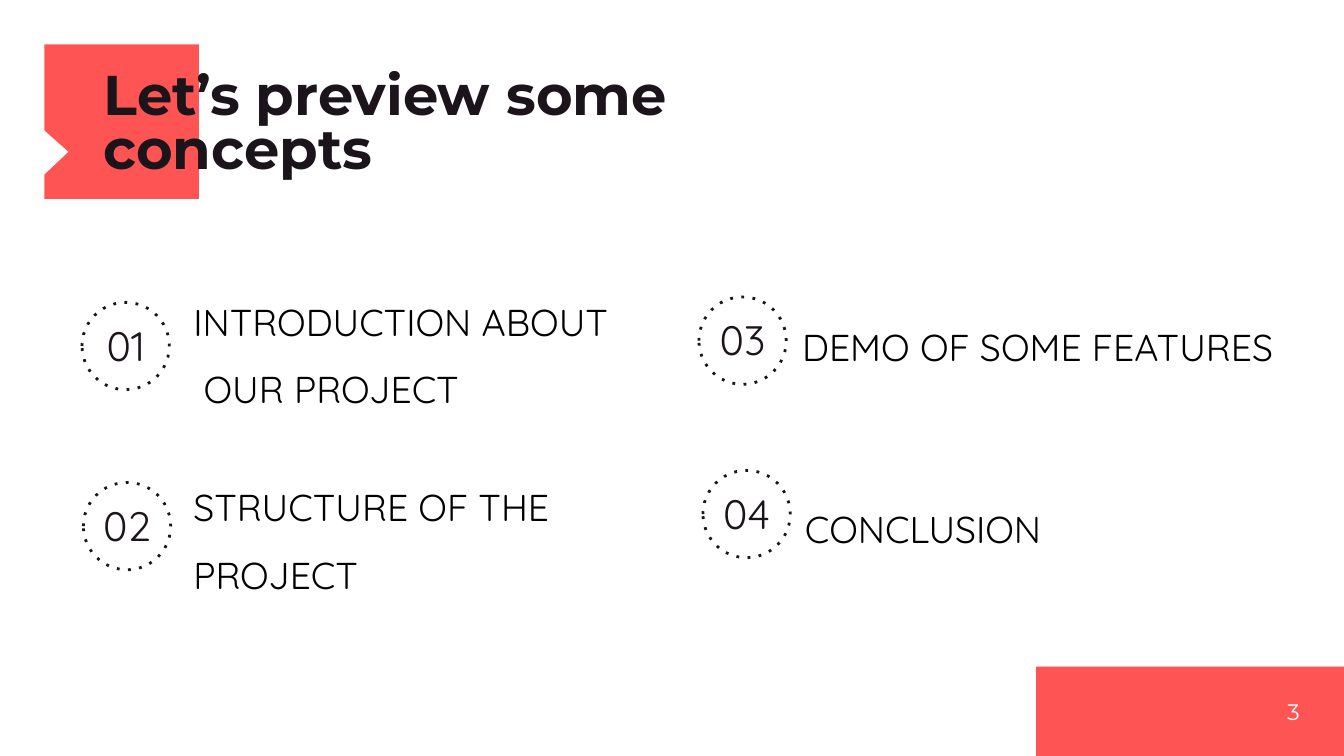
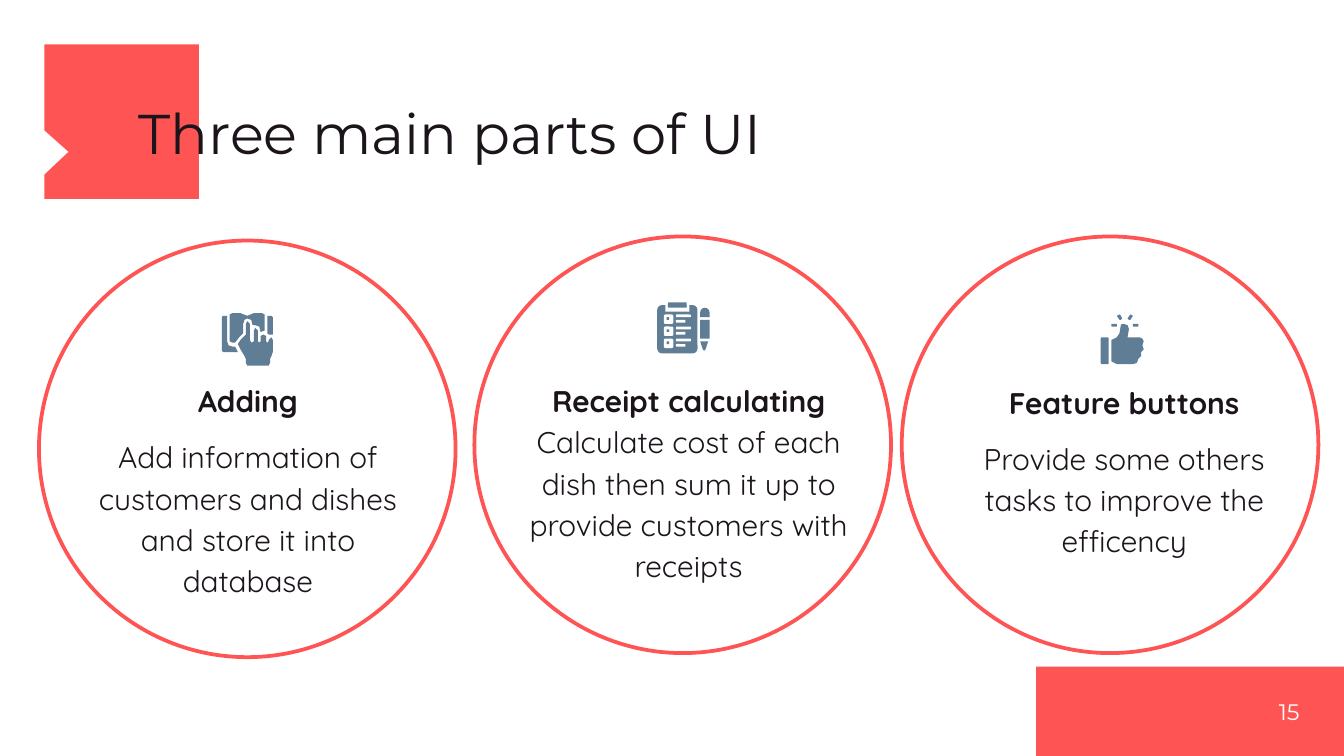
import pptx
import pptx.dml.color
import pptx.enum.dml
import pptx.enum.shapes
import pptx.enum.text
import pptx.oxml.ns
import pptx.util

Inches = pptx.util.Inches
Pt = pptx.util.Pt
SHAPE = pptx.enum.shapes.MSO_SHAPE
ALIGN = pptx.enum.text.PP_ALIGN
ANCHOR = pptx.enum.text.MSO_ANCHOR

CORAL, INK, BLACK, WHITE, SLATE = "FF5454", "1B151B", "000000", "FFFFFF", "5F7D95"
HEAD_FONT, BODY_FONT = "Montserrat", "Quicksand"


def rgb(color):
    return pptx.dml.color.RGBColor.from_string(color)


def style(sp, fill=None, line=None, width=1):
    sp.shadow.inherit = False
    if fill:
        sp.fill.solid()
        sp.fill.fore_color.rgb = rgb(fill)
    else:
        sp.fill.background()
    if line:
        sp.line.color.rgb = rgb(line)
        sp.line.width = Pt(width)
    else:
        sp.line.fill.background()
    return sp


def add_shape(slide, kind, box, **look):
    sp = slide.shapes.add_shape(kind, *map(Inches, box))
    return style(sp, **look)


def add_outline(slide, points, fill):
    start, *rest = [(Inches(x), Inches(y)) for x, y in points]
    builder = slide.shapes.build_freeform(*start, scale=1.0)
    builder.add_line_segments(rest, close=True)
    return style(builder.convert_to_shape(), fill=fill)


def add_text(slide, box, lines, size, font=BODY_FONT, color=INK, bold=False, align=ALIGN.LEFT,
             anchor=ANCHOR.TOP, inset=(0, 0), spacing=1.0, wrap=True):
    tf = slide.shapes.add_textbox(*map(Inches, box)).text_frame
    tf.word_wrap = wrap
    tf.vertical_anchor = anchor
    tf.margin_left = tf.margin_right = Inches(inset[0])
    tf.margin_top = tf.margin_bottom = Inches(inset[1])
    tf.text = "\n".join(lines)
    for p in tf.paragraphs:
        p.alignment = align
        p.line_spacing = spacing
        for r in p.runs:
            r.font.name = font
            r.font.size = Pt(size)
            r.font.bold = bold
            r.font.color.rgb = rgb(color)
    return tf


def add_base(prs, title, title_at, number, bold=False):
    slide = prs.slides.add_slide(prs.slide_layouts[6])
    flag = [(0.33, 0.33), (1.48, 0.33), (1.48, 1.48), (0.33, 1.48),
            (0.33, 1.3), (0.51, 1.13), (0.33, 0.97)]
    add_outline(slide, flag, CORAL)
    add_shape(slide, SHAPE.RECTANGLE, (7.71, 4.96, 2.29, 0.67), fill=CORAL)
    add_text(slide, (*title_at, 5.61, 0.43), [title], 30, HEAD_FONT, bold=bold,
             anchor=ANCHOR.BOTTOM, spacing=0.8)
    add_text(slide, (9, 4.96, 0.67, 0.67), [str(number)], 12, HEAD_FONT, WHITE,
             align=ALIGN.RIGHT, anchor=ANCHOR.MIDDLE)
    return slide


def add_concept(slide, number, ring_at, text_box, lines, wrap=True):
    x, y = ring_at
    ring = add_shape(slide, SHAPE.OVAL, (x, y, 0.65, 0.65), line=INK, width=1.5)
    ring.line.dash_style = pptx.enum.dml.MSO_LINE.ROUND_DOT
    dash = ring._element.spPr.find(".//" + pptx.oxml.ns.qn("a:prstDash"))
    dash.set("val", "dot")
    add_text(slide, (x - 0.17, y + 0.07, 0.99, 0.54), [f"{number:02d}"], 22,
             align=ALIGN.CENTER, anchor=ANCHOR.MIDDLE, inset=(0.1, 0.1), spacing=0.9)
    add_text(slide, text_box, lines, 20, color=BLACK, inset=(0.1, 0.05), spacing=1.5, wrap=wrap)


def add_part(slide, circle_at, text_at, heading, body, before=0, after=0):
    tf = add_text(slide, (*text_at, 2.43, 3.23), [heading, body], 16,
                  align=ALIGN.CENTER, spacing=1.15)
    tf.paragraphs[0].runs[0].font.bold = True
    tf.paragraphs[1].space_before = Pt(before)
    tf.paragraphs[1].space_after = Pt(after)
    add_shape(slide, SHAPE.OVAL, (*circle_at, 3.1, 3.1), line=CORAL, width=2)


def add_book_icon(slide):
    hand = [(1.84, 2.39), (1.83, 2.41), (1.83, 2.49), (1.79, 2.53), (1.77, 2.56), (1.79, 2.6),
            (1.82, 2.65), (1.83, 2.67), (1.83, 2.7), (1.84, 2.72), (2, 2.72), (2.01, 2.7),
            (2.01, 2.67), (2.02, 2.65), (2.03, 2.62), (2.03, 2.53), (2.02, 2.51), (2, 2.53),
            (2, 2.54), (1.99, 2.55), (1.98, 2.54), (1.98, 2.5), (1.96, 2.49), (1.94, 2.5),
            (1.94, 2.54), (1.93, 2.55), (1.92, 2.54), (1.92, 2.46), (1.9, 2.44), (1.89, 2.46),
            (1.89, 2.54), (1.87, 2.55), (1.86, 2.53), (1.86, 2.41)]
    right_cover = [(1.99, 2.35), (1.99, 2.48), (2, 2.49), (2.03, 2.49), (2.03, 2.36), (2.02, 2.35)]
    left_cover = [(1.66, 2.35), (1.65, 2.36), (1.65, 2.61), (1.66, 2.62), (1.77, 2.62),
                  (1.75, 2.58), (1.73, 2.58), (1.7, 2.57), (1.69, 2.54), (1.69, 2.35)]
    pages = [(1.73, 2.33), (1.71, 2.34), (1.71, 2.54), (1.73, 2.55), (1.75, 2.55), (1.78, 2.51),
             (1.81, 2.48), (1.81, 2.41), (1.82, 2.38), (1.84, 2.37), (1.87, 2.38), (1.88, 2.42),
             (1.9, 2.42), (1.93, 2.43), (1.94, 2.47), (1.97, 2.46), (1.97, 2.34), (1.95, 2.33),
             (1.89, 2.33), (1.84, 2.35), (1.79, 2.33)]
    for points in (hand, right_cover, left_cover, pages):
        add_outline(slide, points, SLATE)


def add_checklist_icon(slide):
    board = add_shape(slide, SHAPE.ROUNDED_RECTANGLE, (4.89, 2.27, 0.3, 0.36), fill=SLATE)
    board.adjustments[0] = 0.12
    add_shape(slide, SHAPE.RECTANGLE, (4.95, 2.25, 0.18, 0.07), fill=WHITE)
    add_shape(slide, SHAPE.ROUNDED_RECTANGLE, (4.97, 2.25, 0.14, 0.04), fill=SLATE)
    for row in range(3):
        y = 2.34 + 0.09 * row
        add_shape(slide, SHAPE.ROUNDED_RECTANGLE, (4.94, y, 0.07, 0.07), fill=WHITE)
        add_shape(slide, SHAPE.RECTANGLE, (4.96, y + 0.02, 0.02, 0.02), fill=SLATE)
        for dy, width in ((0, 0.11), (0.04, 0.07)):
            add_shape(slide, SHAPE.ROUNDED_RECTANGLE, (5.03, y + dy, width, 0.02), fill=WHITE)
    add_shape(slide, SHAPE.RECTANGLE, (5.21, 2.38, 0.07, 0.14), fill=SLATE)
    cap = add_shape(slide, SHAPE.ROUND_2_SAME_RECTANGLE, (5.21, 2.29, 0.07, 0.07), fill=SLATE)
    cap.adjustments[0] = 0.5
    add_outline(slide, [(5.21, 2.54), (5.23, 2.6), (5.24, 2.61), (5.25, 2.6), (5.27, 2.54)], SLATE)


def add_thumb_icon(slide):
    for x in (8.27, 8.43):
        add_shape(slide, SHAPE.ROUNDED_RECTANGLE, (x, 2.41, 0.04, 0.02), fill=SLATE)
    left_ray = [(8.33, 2.34), (8.31, 2.35), (8.33, 2.38), (8.34, 2.38), (8.35, 2.37), (8.34, 2.35)]
    right_ray = [(8.41, 2.34), (8.39, 2.37), (8.4, 2.38), (8.41, 2.38), (8.43, 2.35)]
    hand = [(8.35, 2.41), (8.34, 2.42), (8.33, 2.48), (8.31, 2.51), (8.27, 2.53), (8.27, 2.69),
            (8.31, 2.71), (8.43, 2.71), (8.46, 2.7), (8.47, 2.67), (8.49, 2.65), (8.49, 2.62),
            (8.51, 2.6), (8.5, 2.57), (8.51, 2.54), (8.5, 2.52), (8.48, 2.51), (8.39, 2.51),
            (8.4, 2.45), (8.39, 2.42), (8.36, 2.41)]
    for points in (left_ray, right_ray, hand):
        add_outline(slide, points, SLATE)
    add_shape(slide, SHAPE.ROUNDED_RECTANGLE, (8.19, 2.51, 0.06, 0.2), fill=SLATE)


def main():
    prs = pptx.Presentation()
    prs.slide_width = Inches(10)
    prs.slide_height = prs.slide_width * 9 // 16

    slide = add_base(prs, "Let’s preview some concepts", (0.77, 0.91), 3, bold=True)
    add_concept(slide, 1, (0.61, 2.25), (1.34, 2.01, 4.52, 1.07),
                ["INTRODUCTION ABOUT", " OUR PROJECT"])
    add_concept(slide, 2, (0.62, 3.59), (1.34, 3.39, 5, 1.07), ["STRUCTURE OF THE", "PROJECT"])
    add_concept(slide, 3, (5.2, 2.21), (5.87, 2.2, 4.12, 0.56), ["DEMO OF SOME FEATURES"])
    add_concept(slide, 4, (5.23, 3.5), (5.89, 3.55, 2.02, 0.56), ["CONCLUSION"], wrap=False)

    slide = add_base(prs, "Three main parts of UI", (1.03, 0.8), 15)
    add_part(slide, (0.29, 1.79), (0.63, 2.81), "Adding",
             "Add information of customers and dishes and store it into database", 8, 8)
    add_part(slide, (3.53, 1.76), (3.91, 2.81), "Receipt calculating",
             "Calculate cost of each dish then sum it up to provide customers with receipts")
    add_part(slide, (6.71, 1.76), (7.15, 2.82), "Feature buttons",
             "Provide some others tasks to improve the efficency", 8)
    add_book_icon(slide)
    add_checklist_icon(slide)
    add_thumb_icon(slide)

    prs.save("out.pptx")


if __name__ == "__main__":
    main()
